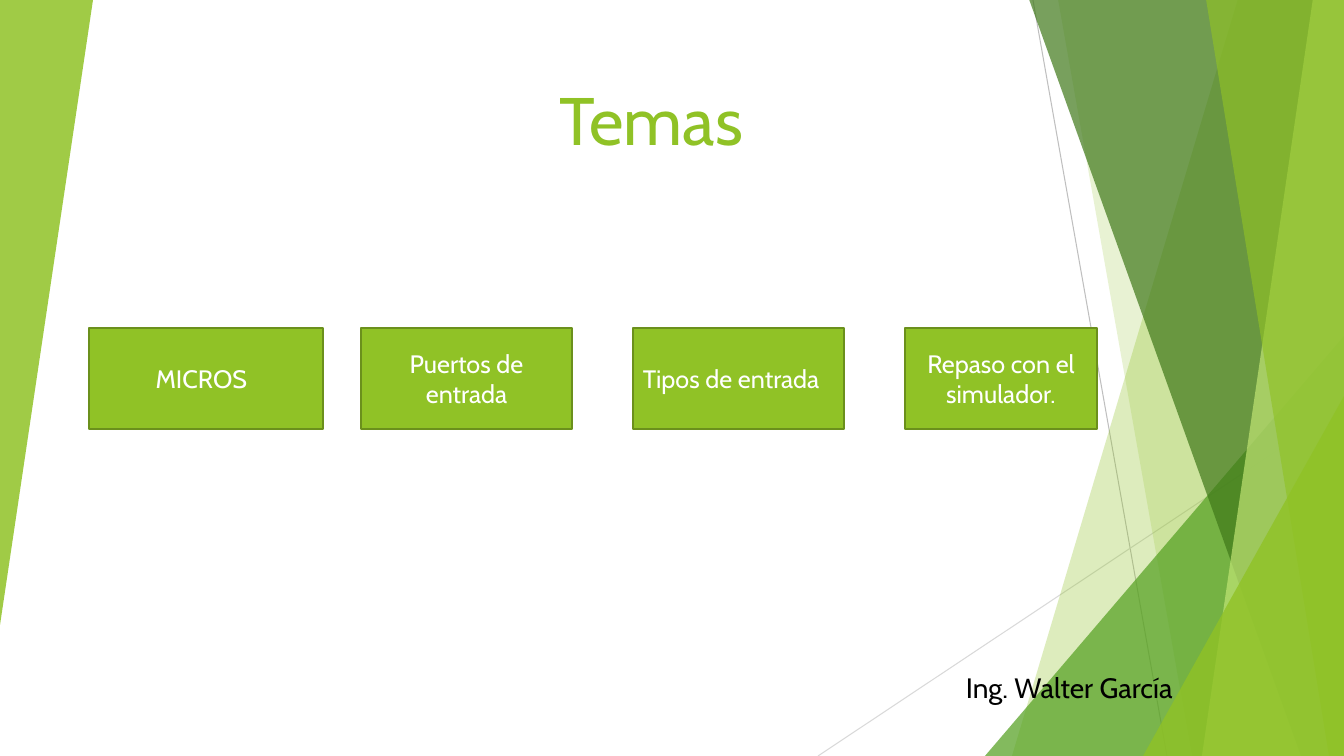
from dataclasses import dataclass

from lxml import etree
from pptx import Presentation, util as u
from pptx.dml import color
from pptx.enum import shapes, text
from pptx.oxml import ns

SCALE = 914400 / 100.8
WIDTH, HEIGHT = 1344, 756
GREEN, DARK_GREEN, WHITE, BLACK = "90C226", "6B901C", "FFFFFF", "000000"
FONT = "Cabin"
TOPIC_LEFT, TOPIC_TOP, TOPIC_HEIGHT, TOPIC_STEP = 89, 328, 101, 272


@dataclass
class Ray:
    start: tuple[int, int]
    end: tuple[int, int]
    tint: str


@dataclass
class Band:
    top_left: int
    bottom_left: int
    tint: str
    opacity: int


@dataclass
class Wedge:
    box: tuple[int, int, int, int]
    tint: str
    opacity: int
    rotation: int = 0


@dataclass
class Topic:
    label: str
    width: int


RAYS = [
    Ray((1033, 0), (1167, HEIGHT), "BFBFBF"),
    Ray((WIDTH, 406), (818, HEIGHT), "D9D9D9"),
]
FACETS = [
    Band(1238, 1012, GREEN, 30),
    Band(1058, 1192, GREEN, 20),
    Wedge((985, 336, 359, 420), "54A021", 72),
    Band(1029, 1301, "3F7819", 70),
    Band(1313, 1202, "C0E474", 70),
    Band(1206, 1329, GREEN, 65),
    Wedge((1143, 396, 201, 360), GREEN, 80),
    Wedge((0, 0, 93, 625), GREEN, 85, 180),
]
TOPICS = [
    Topic("MICROS\t", 234),
    Topic("Puertos de entrada", 211),
    Topic("Tipos de entrada\t", 211),
    Topic("Repaso con el simulador.", 192),
]


def px(value: int) -> int:
    return round(value * SCALE)


def rgb(code: str) -> color.RGBColor:
    return color.RGBColor.from_string(code)


def paint(shape, tint: str, opacity: int = 100) -> None:
    shape.shadow.inherit = False
    shape.fill.solid()
    shape.fill.fore_color.rgb = rgb(tint)
    shape.line.fill.background()
    if opacity < 100:
        swatch = shape._element.spPr.find(ns.qn("a:solidFill"))[0]
        etree.SubElement(swatch, ns.qn("a:alpha")).set("val", str(opacity * 1000))


def draw_ray(slide, ray: Ray) -> None:
    line = slide.shapes.add_connector(
        shapes.MSO_CONNECTOR.STRAIGHT, *map(px, ray.start + ray.end))
    line.line.color.rgb = rgb(ray.tint)
    line.line.width = u.Pt(0.75)
    etree.SubElement(line._element.spPr, ns.qn("a:effectLst"))


def draw_facet(slide, facet: Band | Wedge) -> None:
    if isinstance(facet, Band):
        outline = slide.shapes.build_freeform(facet.top_left, -1, scale=SCALE)
        outline.add_line_segments(
            [(WIDTH, -1), (WIDTH, HEIGHT), (facet.bottom_left, HEIGHT)], close=True)
        shape = outline.convert_to_shape()
    else:
        shape = slide.shapes.add_shape(
            shapes.MSO_SHAPE.ISOSCELES_TRIANGLE, *map(px, facet.box))
        shape.adjustments[0] = 1
        shape.rotation = facet.rotation
    paint(shape, facet.tint, facet.opacity)


def write(shape, words: str, size: int, tint: str,
          align: text.PP_ALIGN, anchor: text.MSO_ANCHOR):
    frame = shape.text_frame
    frame.word_wrap = True
    frame.vertical_anchor = anchor
    frame.text = words
    paragraph = frame.paragraphs[0]
    paragraph.alignment = align
    for run in paragraph.runs:
        run.font.name = FONT
        run.font.size = u.Pt(size)
        run.font.color.rgb = rgb(tint)
    return paragraph


def draw_topic(slide, topic: Topic, left: int) -> None:
    card = slide.shapes.add_shape(
        shapes.MSO_SHAPE.RECTANGLE,
        *map(px, (left, TOPIC_TOP, topic.width, TOPIC_HEIGHT)))
    paint(card, GREEN)
    card.line.color.rgb = rgb(DARK_GREEN)
    card.line.width = u.Pt(1.5)
    write(card, topic.label, 18, WHITE, text.PP_ALIGN.CENTER, text.MSO_ANCHOR.MIDDLE)


def main() -> None:
    deck = Presentation()
    deck.slide_width, deck.slide_height = px(WIDTH), px(HEIGHT)
    slide = deck.slides.add_slide(deck.slide_layouts[6])
    for ray in RAYS:
        draw_ray(slide, ray)
    for facet in FACETS:
        draw_facet(slide, facet)

    heading = slide.shapes.add_textbox(*map(px, (245, 71, 812, 93)))
    write(heading, "Temas", 48, GREEN, text.PP_ALIGN.CENTER, text.MSO_ANCHOR.BOTTOM)
    author = slide.shapes.add_textbox(*map(px, (951, 666, 355, 40)))
    byline = write(author, "Ing. Walter García", 20, BLACK,
                   text.PP_ALIGN.LEFT, text.MSO_ANCHOR.TOP)
    byline.space_before = u.Pt(14)
    byline._p.get_or_add_pPr().set("marL", str(px(5)))

    for position, topic in enumerate(TOPICS):
        draw_topic(slide, topic, TOPIC_LEFT + position * TOPIC_STEP)
    deck.save("out.pptx")


main()
